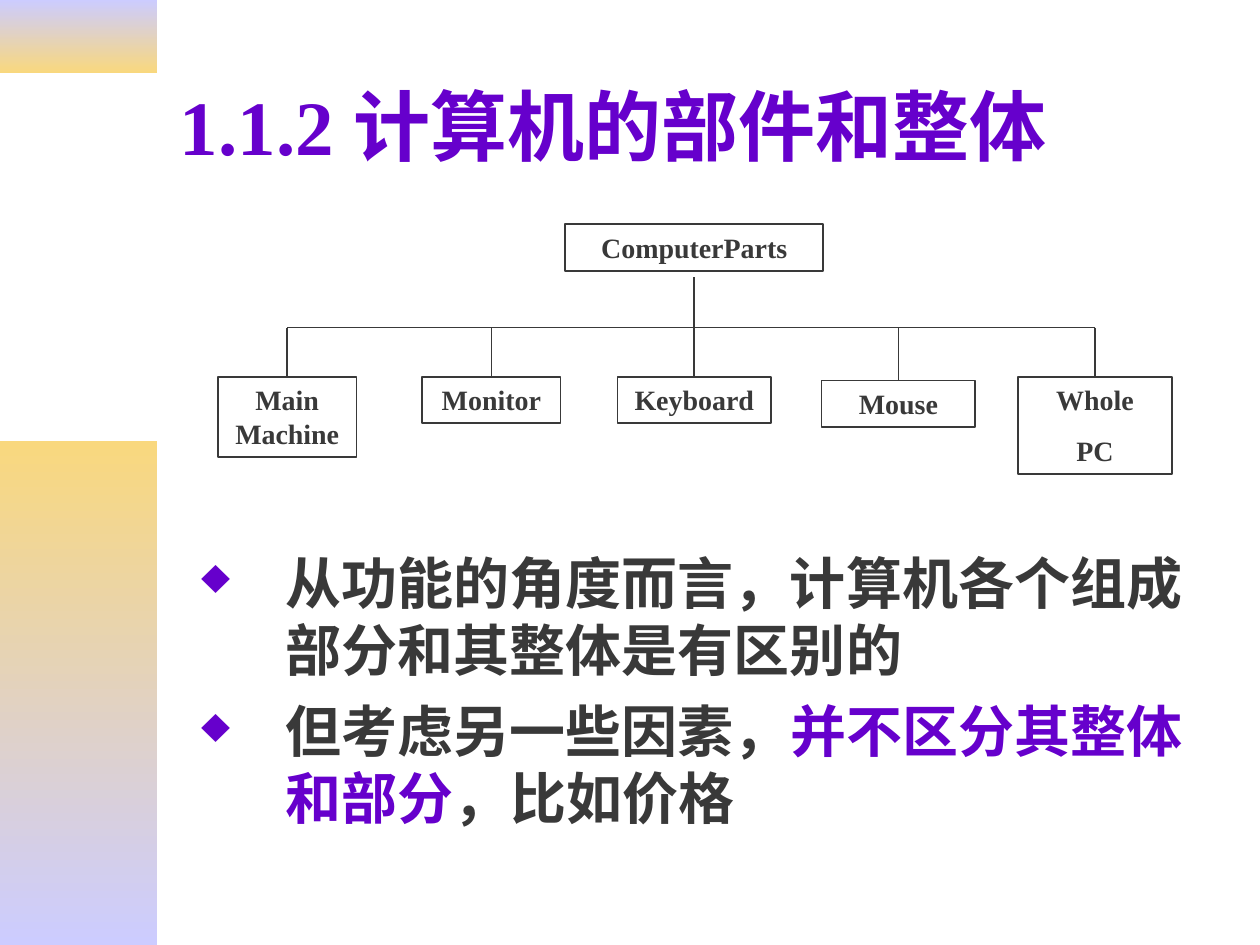
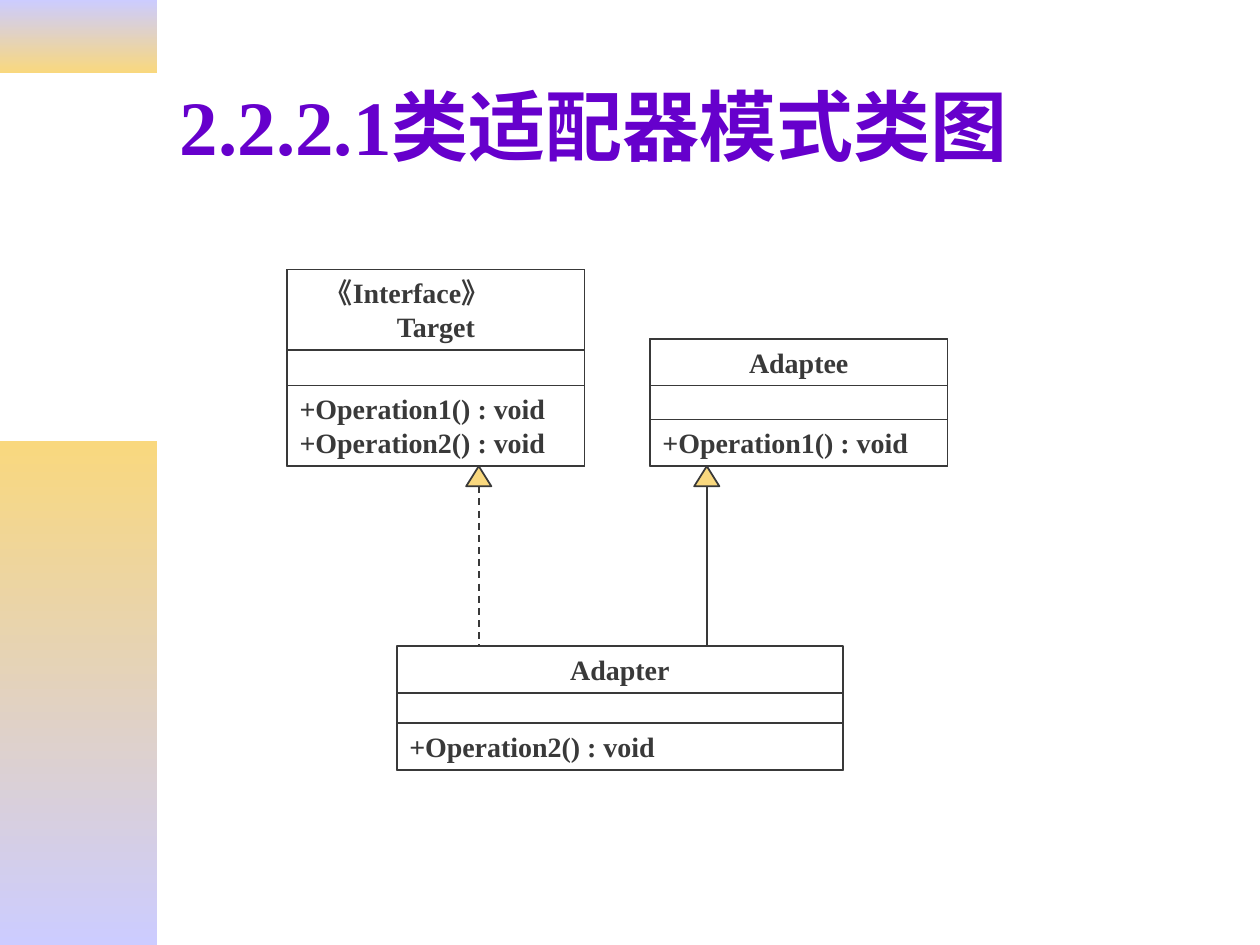
import pptx
import pptx.util
import pptx.dml.color
import pptx.enum.dml
import pptx.enum.shapes
import pptx.enum.text
import pptx.oxml
import pptx.oxml.ns
import lxml.etree

PURPLE = pptx.dml.color.RGBColor(0x66, 0x00, 0xCC)
INK = pptx.dml.color.RGBColor(0x39, 0x39, 0x39)
LILAC = pptx.dml.color.RGBColor(0xCC, 0xCC, 0xFF)
GOLD = pptx.dml.color.RGBColor(0xF9, 0xD8, 0x7E)
FONT = "Times New Roman"
SHAPE = pptx.enum.shapes.MSO_SHAPE
CENTER = pptx.enum.text.PP_ALIGN.CENTER
LEFT = pptx.enum.text.PP_ALIGN.LEFT

deck = pptx.Presentation()
deck.slide_width = pptx.util.Inches(10)
deck.slide_height = pptx.util.Inches(7.5)
# Grid of 100 columns and 75 rows
COL = deck.slide_width / 100
ROW = deck.slide_height / 75


def add_box(page, left, top, width, height, lines=(), align=CENTER, gap=0, kind=SHAPE.RECTANGLE):
    """Outlined shape, placed in grid cells, with bold label lines."""
    box = page.shapes.add_shape(kind, int(left * COL), int(top * ROW), int(width * COL), int(height * ROW))
    box.shadow.inherit = False
    box.fill.background()
    box.line.color.rgb = INK
    box.line.width = pptx.util.Pt(1)
    frame = box.text_frame
    frame.word_wrap = True
    frame.vertical_anchor = pptx.enum.text.MSO_ANCHOR.TOP
    for index, line in enumerate(lines):
        para = frame.add_paragraph() if index else frame.paragraphs[0]
        para.text = line
        para.alignment = align
        para.space_before = pptx.util.Pt(gap if index else 0)
        para.font.name = FONT
        para.font.size = pptx.util.Pt(16)
        para.font.bold = True
        para.font.color.rgb = INK
    return box


def add_line(page, start_x, start_y, end_x, end_y, dash=None):
    """Straight line between two grid points."""
    line = page.shapes.add_connector(
        pptx.enum.shapes.MSO_CONNECTOR.STRAIGHT,
        int(start_x * COL), int(start_y * ROW), int(end_x * COL), int(end_y * ROW))
    line.line.color.rgb = INK
    line.line.width = pptx.util.Pt(1)
    if dash:
        line.line.dash_style = dash
    lxml.etree.SubElement(line._element.spPr, pptx.oxml.ns.qn("a:effectLst"))
    return line


# Shared side bands and titles
pages = []
for title in ("1.1.2 计算机的部件和整体", "2.2.2.1类适配器模式类图"):
    page = deck.slides.add_slide(deck.slide_layouts[6])
    pages.append(page)
    for top, height, colors in ((0, 5.8, (LILAC, GOLD)), (35, 40, (GOLD, LILAC))):
        band = add_box(page, 0, top, 12.5, height)
        band.line.fill.background()
        band.fill.gradient()
        band.fill.gradient_angle = 270
        for position, (stop, color) in enumerate(zip(band.fill.gradient_stops, colors)):
            stop.position = position
            stop.color.rgb = color
    box = page.shapes.add_textbox(int(13.3 * COL), int(3.3 * ROW), int(85 * COL), int(13.2 * ROW))
    box.text_frame.word_wrap = True
    box.text_frame.vertical_anchor = pptx.enum.text.MSO_ANCHOR.MIDDLE
    para = box.text_frame.paragraphs[0]
    para.text = title
    para.font.name = FONT
    para.font.size = pptx.util.Pt(44)
    para.font.bold = True
    para.font.color.rgb = PURPLE
parts_page, adapter_page = pages

# Parts tree: root, bus and one drop per part
ROOT_X, BUS_Y, PART_Y = 55.1, 26, 29.9
add_box(parts_page, ROOT_X - 10.25, 17.8, 20.5, 3.7, ["ComputerParts"])
add_line(parts_page, ROOT_X, 22, ROOT_X, BUS_Y)
parts = (
    (22.8, PART_Y, 11, 6.4, ["Main Machine"]),
    (39, PART_Y, 11, 3.7, ["Monitor"]),
    (ROOT_X, PART_Y, 12.2, 3.7, ["Keyboard"]),
    (71.3, PART_Y + 0.3, 12.2, 3.7, ["Mouse"]),
    (86.9, PART_Y, 12.2, 7.7, ["Whole", "PC"]),
)
add_line(parts_page, parts[0][0], BUS_Y, parts[-1][0], BUS_Y)
for center, top, width, height, lines in parts:
    box = add_box(parts_page, center - width / 2, top, width, height, lines, gap=10)
    add_line(parts_page, center, BUS_Y, center, top).end_connect(box, 0)

# Bulleted remarks
remarks = (
    (("从功能的角度而言，计算机各个组成部分和其整体是有区别的", INK),),
    (("但考虑另一些因素，", INK), ("并不区分其整体和部分", PURPLE), ("，比如价格", INK)),
)
box = parts_page.shapes.add_textbox(int(15 * COL), int(43 * ROW), int(80.3 * COL), int(23.5 * ROW))
box.text_frame.word_wrap = True
for index, remark in enumerate(remarks):
    para = box.text_frame.add_paragraph() if index else box.text_frame.paragraphs[0]
    indent = int(6.7 * COL)
    properties = para._p.get_or_add_pPr()
    properties.set("marL", str(indent))
    properties.set("indent", str(-indent))
    for bullet in (f'<a:buClr {pptx.oxml.ns.nsdecls("a")}><a:srgbClr val="{PURPLE}"/></a:buClr>',
                   f'<a:buSzPct {pptx.oxml.ns.nsdecls("a")} val="90000"/>',
                   f'<a:buChar {pptx.oxml.ns.nsdecls("a")} char="♦"/>'):
        properties.append(pptx.oxml.parse_xml(bullet))
    para.space_before = pptx.util.Pt(8 if index else 0)
    para.font.name = FONT
    para.font.size = pptx.util.Pt(32)
    para.font.bold = True
    for text, color in remark:
        span = para.add_run()
        span.text = text
        span.font.color.rgb = color

# Class boxes: outline, name on top, operations at the bottom
classes = (
    (22.8, 21.4, 23.6, 15.6, 6.4, ["《Interface》", "Target"], ["+Operation1() : void", "+Operation2() : void"]),
    (51.6, 26.9, 23.6, 10.1, 3.7, ["Adaptee"], ["+Operation1() : void"]),
    (31.5, 51.3, 35.4, 9.8, 3.7, ["Adapter"], ["+Operation2() : void"]),
)
for left, top, width, height, label_height, names, operations in classes:
    add_box(adapter_page, left, top, width, height)
    name_box = add_box(adapter_page, left, top, width, label_height, names)
    if len(names) > 1:
        stereotype = name_box.text_frame.paragraphs[0]
        stereotype.alignment = LEFT
        stereotype._p.get_or_add_pPr().set("marL", str(int(2 * COL)))
    add_box(adapter_page, left, top + height - label_height, width, label_height, operations, LEFT)

# Realisation (dashed) and inheritance (solid) arrows
for center, dash in ((38, pptx.enum.dml.MSO_LINE.DASH), (56.1, None)):
    tip = add_box(adapter_page, center - 1, 37, 2, 1.6, kind=SHAPE.FLOWCHART_EXTRACT)
    tip.fill.solid()
    tip.fill.fore_color.rgb = GOLD
    add_line(adapter_page, center, 38.6, center, 51.3, dash)

deck.save("out.pptx")
